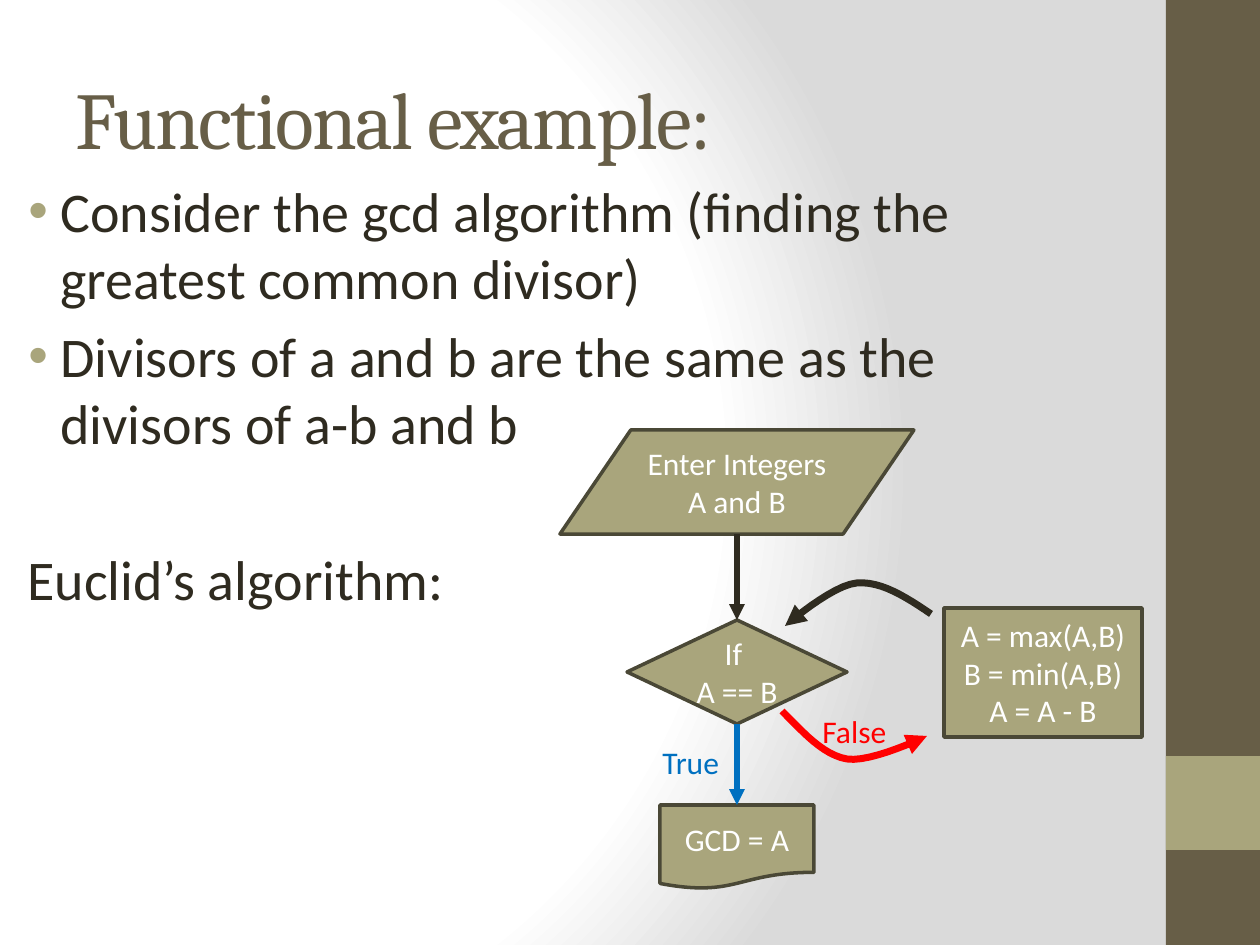
from lxml import etree
from pptx import Presentation
from pptx.dml.color import RGBColor
from pptx.enum.shapes import MSO_CONNECTOR, MSO_SHAPE
from pptx.enum.text import MSO_ANCHOR, PP_ALIGN
from pptx.oxml import parse_xml
from pptx.oxml.ns import nsdecls, qn
from pptx.util import Pt

EMU_PER_PX = 914400 / 126
BROWN = RGBColor(0x67, 0x5E, 0x47)
OLIVE = RGBColor(0xA9, 0xA5, 0x7C)
OUTLINE = RGBColor(0x4A, 0x48, 0x36)
DARK = RGBColor(0x2F, 0x2B, 0x20)
WHITE = RGBColor(0xFF, 0xFF, 0xFF)
BLUE = RGBColor(0x00, 0x70, 0xC0)
RED = RGBColor(0xFF, 0x00, 0x00)
RECTANGLE = MSO_SHAPE.RECTANGLE
INPUT = MSO_SHAPE.FLOWCHART_DATA
DECISION = MSO_SHAPE.FLOWCHART_DECISION
DOCUMENT = MSO_SHAPE.FLOWCHART_DOCUMENT
PROCESS = MSO_SHAPE.FLOWCHART_PROCESS
STRAIGHT = MSO_CONNECTOR.STRAIGHT
TOP, MIDDLE = MSO_ANCHOR.TOP, MSO_ANCHOR.MIDDLE
LEFT, CENTER = PP_ALIGN.LEFT, PP_ALIGN.CENTER


def px(*values):
    return [round(value * EMU_PER_PX) for value in values]


def write_text(shape, text, size=18, color=WHITE, font="Calibri",
               align=LEFT, anchor=TOP, wrap=True):
    frame = shape.text_frame
    frame.text = text
    frame.word_wrap = wrap
    frame.vertical_anchor = anchor
    for paragraph in frame.paragraphs:
        paragraph.alignment = align
        for run in paragraph.runs:
            run.font.size = Pt(size)
            run.font.name = font
            run.font.color.rgb = color
    return frame


presentation = Presentation()
presentation.slide_width, presentation.slide_height = px(1260, 945)
slide = presentation.slides.add_slide(presentation.slide_layouts[6])
shapes = slide.shapes

stops = "".join(
    f'<a:gs pos="{position * 1000}"><a:srgbClr val="{color}"/></a:gs>'
    for position, color in [(0, "FFFFFF"), (75, "FFFFFF"), (100, "DADADA")])
background = parse_xml(
    f'<p:bg {nsdecls("p", "a")}><p:bgPr><a:gradFill rotWithShape="1">'
    f'<a:gsLst>{stops}</a:gsLst><a:path path="circle">'
    '<a:fillToRect l="20000" t="50000" r="100000" b="50000"/></a:path>'
    '</a:gradFill><a:effectLst/></p:bgPr></p:bg>')
slide.element.find(qn("p:cSld")).insert(0, background)

for top, height, color in [(0, 945, BROWN), (756, 94, OLIVE)]:
    band = shapes.add_shape(RECTANGLE, *px(1166, top, 94, height))
    band.shadow.inherit = False
    band.fill.solid()
    band.fill.fore_color.rgb = color
    band.line.fill.background()

title = shapes.add_textbox(*px(63, 38, 1050, 158))
frame = write_text(title, "Functional example:", size=46, color=BROWN,
                   font="Cambria", anchor=MIDDLE)
frame.paragraphs[0].runs[0].font._element.set("spc", "-100")

body = shapes.add_textbox(*px(0, 170, 1050, 662))
frame = write_text(
    body,
    "Consider the gcd algorithm (finding the greatest common divisor)\n"
    "Divisors of a and b are the same as the divisors of a-b and b\n"
    "Euclid’s algorithm:",
    size=32, color=DARK)
*bulleted, closing = frame.paragraphs
for paragraph in bulleted:
    paragraph.space_before = Pt(6)
    properties = paragraph._p.get_or_add_pPr()
    margin, indent = px(48, -32)
    properties.set("marL", str(margin))
    properties.set("indent", str(indent))
    bullet_color = etree.SubElement(properties, qn("a:buClr"))
    etree.SubElement(bullet_color, qn("a:srgbClr"), val=str(OLIVE))
    etree.SubElement(properties, qn("a:buFont"), typeface="Arial")
    etree.SubElement(properties, qn("a:buChar"), char="•")
closing.space_before = Pt(51)
closing._p.get_or_add_pPr().set("marL", str(px(15)[0]))

steps = [
    (INPUT, (560, 430, 354, 104), "Enter Integers A and B"),
    (DECISION, (627, 620, 220, 104), "If \vA == B"),
    (DOCUMENT, (660, 805, 154, 84), "GCD = A"),
    (PROCESS, (944, 608, 198, 129), "A = max(A,B)\nB = min(A,B)\nA = A - B"),
]
for kind, box, text in steps:
    step = shapes.add_shape(kind, *px(*box))
    step.shadow.inherit = False
    step.fill.solid()
    step.fill.fore_color.rgb = OLIVE
    step.line.color.rgb = OUTLINE
    step.line.width = Pt(2)
    write_text(step, text, align=CENTER, anchor=MIDDLE)

arrows = []
for top, bottom, color in [(534, 620, DARK), (724, 805, BLUE)]:
    arrow = shapes.add_connector(STRAIGHT, *px(737, top, 737, bottom))
    etree.SubElement(arrow._element.spPr, qn("a:effectLst"))
    arrows.append((arrow, color, 3))

curves = [
    (RED, [(782, 711), (803, 732), (823, 755), (847, 759),
           (871, 763), (927, 736), (927, 736)]),
    (DARK, [(931, 614), (906, 597), (881, 581), (857, 583),
            (832, 585), (785, 626), (785, 626)]),
]
SAMPLES = 12
for color, points in curves:
    builder = shapes.build_freeform(*px(*points[0]), scale=1.0)
    vertices = []
    for first in (0, 3):
        controls = points[first:first + 4]
        for sample in range(1, SAMPLES + 1):
            t = sample / SAMPLES
            weights = ((1 - t) ** 3, 3 * t * (1 - t) ** 2, 3 * t * t * (1 - t), t ** 3)
            vertices.append(px(*(sum(w * value for w, value in zip(weights, axis))
                                 for axis in zip(*controls))))
    builder.add_line_segments(vertices, close=False)
    curve = builder.convert_to_shape()
    curve.shadow.inherit = False
    curve.fill.background()
    arrows.append((curve, color, 4))

for arrow, color, width in arrows:
    arrow.line.color.rgb = color
    arrow.line.width = Pt(width)
    etree.SubElement(arrow.line._get_or_add_ln(), qn("a:tailEnd"), type="triangle")

for text, box, color in [("False", (810, 706, 89, 50), RED),
                         ("True", (650, 737, 83, 50), BLUE)]:
    write_text(shapes.add_textbox(*px(*box)), text, color=color, wrap=False)

presentation.save("out.pptx")
